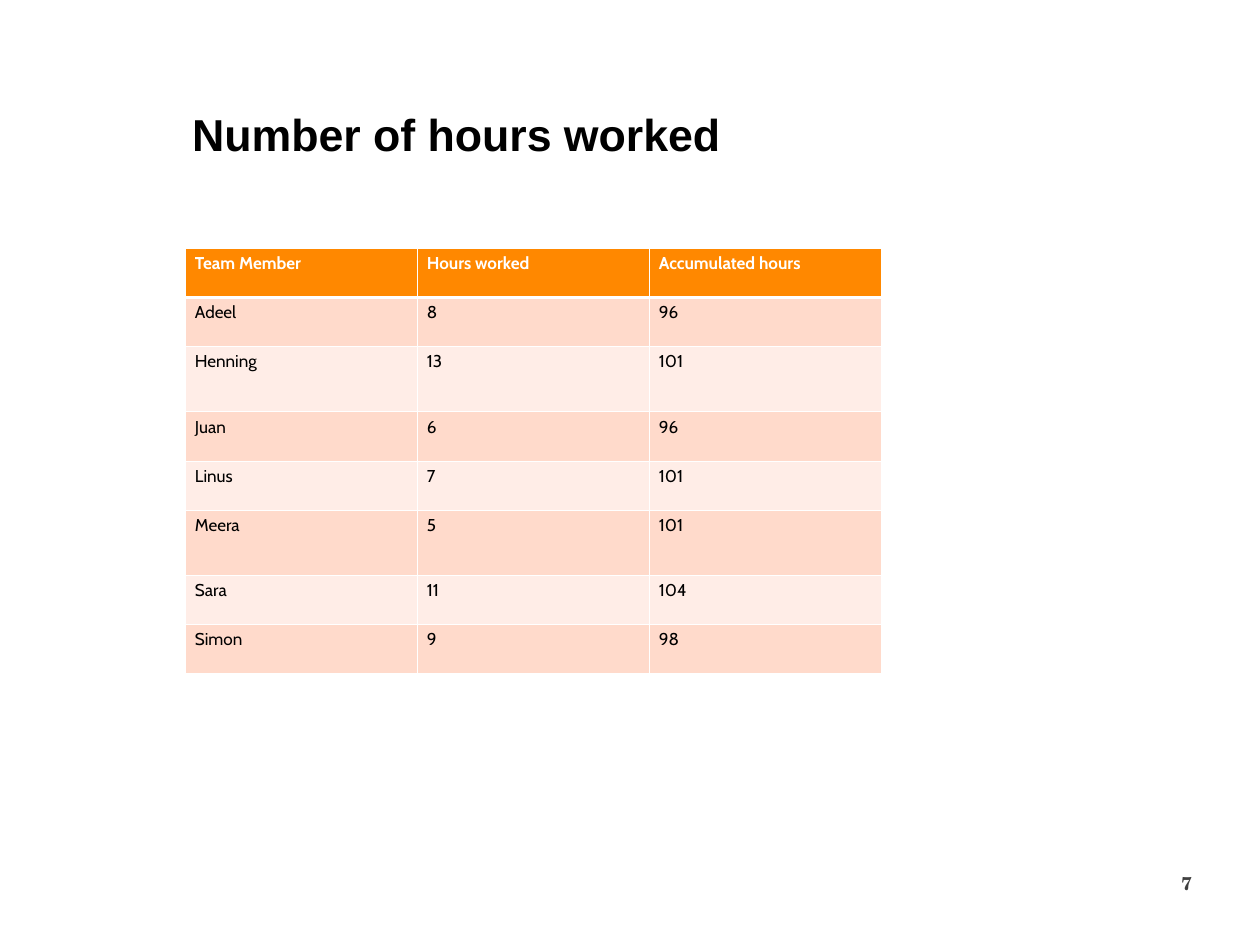
from lxml import etree
from pptx import Presentation
from pptx.dml.color import RGBColor
from pptx.enum.text import MSO_ANCHOR, PP_ALIGN
from pptx.oxml.ns import qn
from pptx.util import Pt

# Content
TITLE = "Number of hours worked"
HEADER = ("Team Member", "Hours worked", "Accumulated hours")
MEMBERS = [
    ("Adeel", 8, 96),
    ("Henning", 13, 101),
    ("Juan", 6, 96),
    ("Linus", 7, 101),
    ("Meera", 5, 101),
    ("Sara", 11, 104),
    ("Simon", 9, 98),
]
TALL_ROWS = ("Henning", "Meera")
PAGE_NUMBER = "7"

# Style
WHITE = RGBColor(0xFF, 0xFF, 0xFF)
BLACK = RGBColor(0x00, 0x00, 0x00)
GREY = RGBColor(0x40, 0x40, 0x40)
ORANGE = RGBColor(0xFF, 0x88, 0x00)
BANDS = (RGBColor(0xFF, 0xDA, 0xCB), RGBColor(0xFF, 0xED, 0xE7))
MIDDLE = MSO_ANCHOR.MIDDLE
LEFT, RIGHT = PP_ALIGN.LEFT, PP_ALIGN.RIGHT

# Layout in px, 100 to the inch
EMU_PER_PX = 9144
SLIDE_W, SLIDE_H = 1331, 1000
TITLE_BOX = (196, 96, 858, 98)
NUMBER_BOX = (1048, 914, 218, 37)
TABLE_LEFT, TABLE_TOP, COLUMN_W = 196, 262, 245
ROW_H, TALL_ROW_H = 52, 69


def px(length):
    return length * EMU_PER_PX


def add_text(paragraph, text, font, size, color, bold):
    run = paragraph.add_run()
    run.text = str(text)
    run.font.name = font
    run.font.size = Pt(size)
    run.font.color.rgb = color
    run.font.bold = bold


def set_frame(shape, box, align):
    shape.left, shape.top, shape.width, shape.height = map(px, box)
    frame = shape.text_frame
    frame.word_wrap = True
    frame.vertical_anchor = MIDDLE
    frame.margin_left = frame.margin_right = px(7)
    frame.margin_top = frame.margin_bottom = px(4)
    paragraph = frame.paragraphs[0]
    paragraph.alignment = align
    return paragraph


def set_borders(cell, widths):
    properties = cell._tc.get_or_add_tcPr()
    for index, (side, width) in enumerate(widths.items()):
        line = etree.Element(qn(f"a:{side}"), w=str(Pt(width)))
        fill = etree.SubElement(line, qn("a:solidFill"))
        etree.SubElement(fill, qn("a:srgbClr"), val=str(WHITE))
        properties.insert(index, line)


prs = Presentation()
prs.slide_width, prs.slide_height = px(SLIDE_W), px(SLIDE_H)
slide = prs.slides.add_slide(prs.slide_layouts[5])

# Title
heading = set_frame(slide.shapes.title, TITLE_BOX, LEFT)
heading.line_spacing = 0.9
add_text(heading, TITLE, "Arial", 34, BLACK, True)

# Hours table
rows = [HEADER, *MEMBERS]
heights = [TALL_ROW_H if row[0] in TALL_ROWS else ROW_H for row in rows]
table = slide.shapes.add_table(
    len(rows), len(HEADER), px(TABLE_LEFT), px(TABLE_TOP),
    px(COLUMN_W * len(HEADER)), px(sum(heights))).table
for column in table.columns:
    column.width = px(COLUMN_W)
for r, (row, height) in enumerate(zip(rows, heights)):
    table.rows[r].height = px(height)
    is_header = r == 0
    for c, value in enumerate(row):
        cell = table.cell(r, c)
        cell.fill.solid()
        cell.fill.fore_color.rgb = ORANGE if is_header else BANDS[(r - 1) % 2]
        set_borders(cell, {"lnL": 1, "lnR": 1, "lnT": 3 if r == 1 else 1,
                           "lnB": 3 if is_header else 1})
        add_text(cell.text_frame.paragraphs[0], value, "Cabin", 13,
                 WHITE if is_header else BLACK, is_header)

# Page number
number_box = slide.shapes.add_textbox(*map(px, NUMBER_BOX))
add_text(set_frame(number_box, NUMBER_BOX, RIGHT),
         PAGE_NUMBER, "TeX Gyre Schola", 14, GREY, True)

prs.save("out.pptx")
